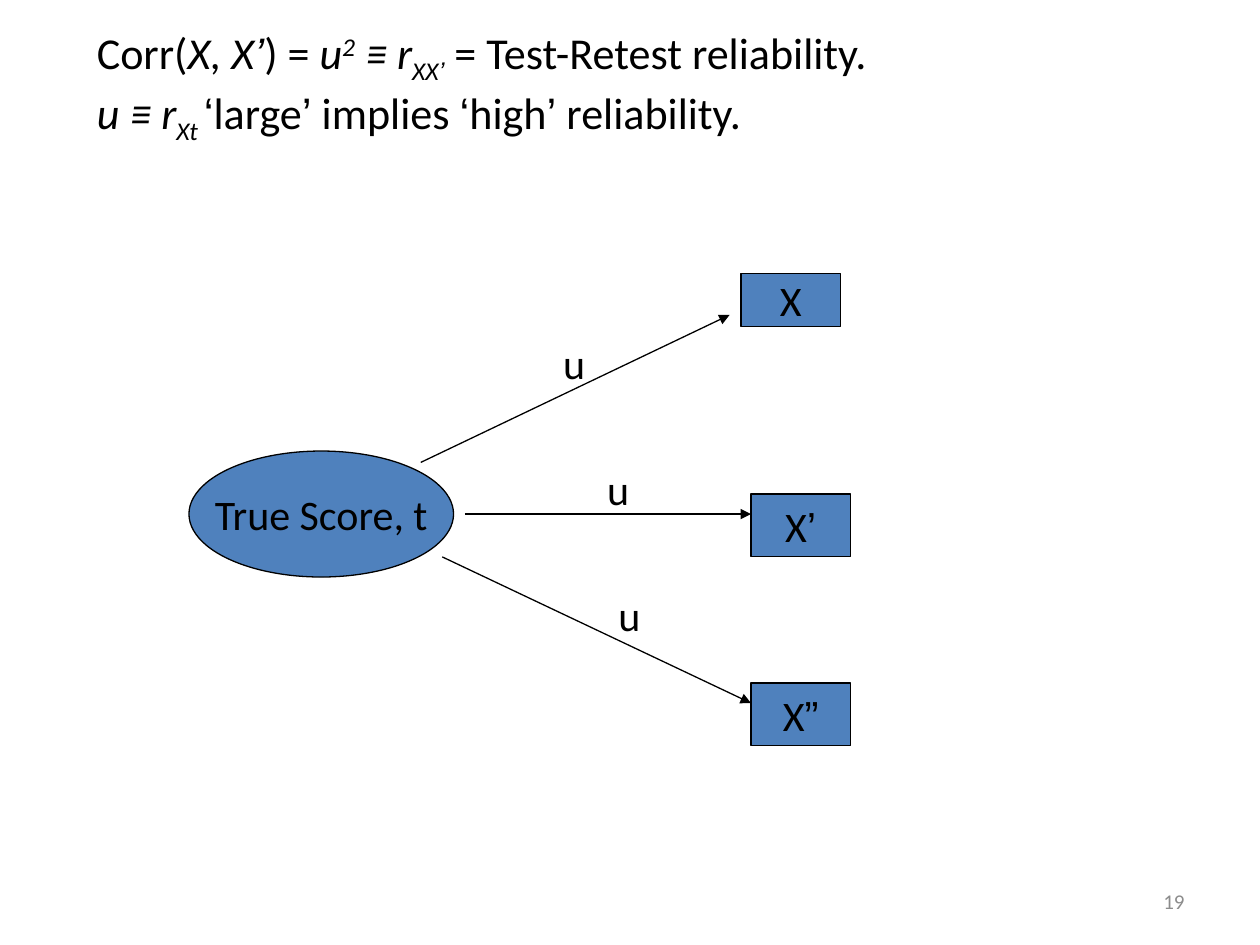
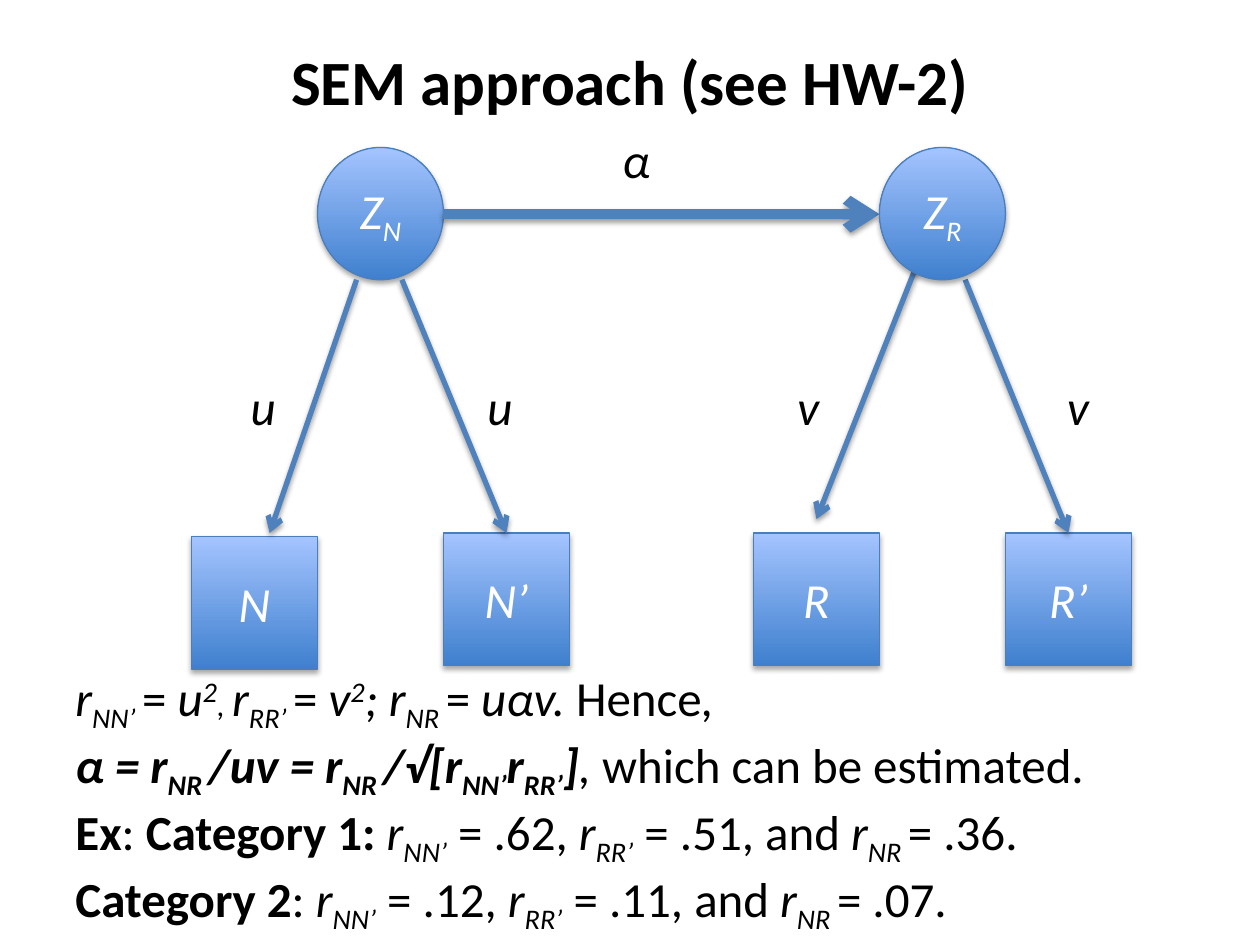
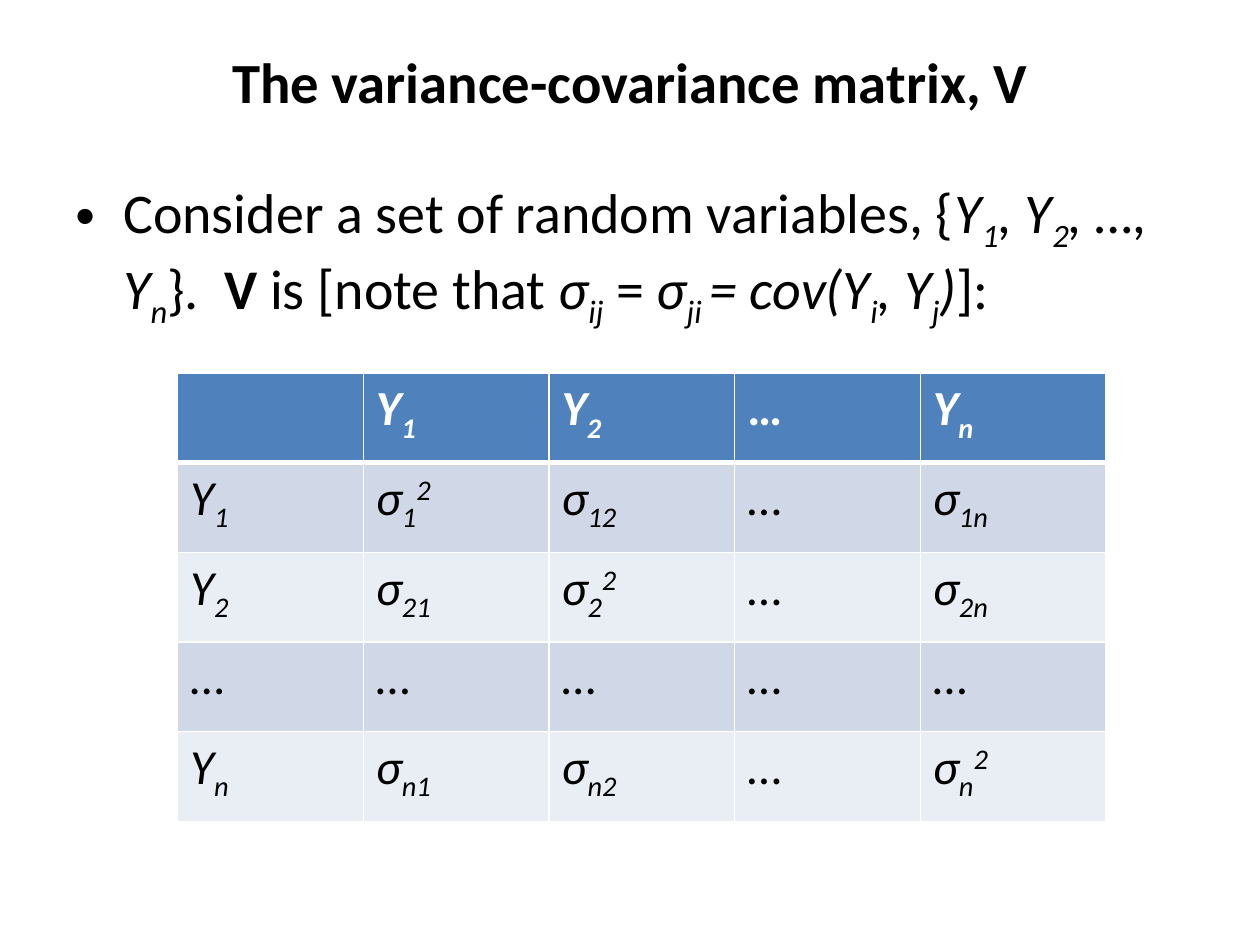
import dataclasses

import pptx
import pptx.dml.color
import pptx.enum.shapes
import pptx.enum.text
import pptx.oxml
import pptx.oxml.ns
import pptx.util
from lxml import etree

Inches, Pt = pptx.util.Inches, pptx.util.Pt
SHAPE = pptx.enum.shapes.MSO_SHAPE
ALIGN = pptx.enum.text.PP_ALIGN
ANCHOR = pptx.enum.text.MSO_ANCHOR
qn = pptx.oxml.ns.qn

# Marks that switch a text style on and off:
# * italic, # bold, ~ subscript, ^ superscript, @ quote font, | small
MARKS = "*#~^@|"


@dataclasses.dataclass(frozen=True)
class Theme:
    font: str = "Calibri"
    quote_font: str = "Arial"
    black: str = "000000"
    white: str = "FFFFFF"
    grey: str = "8C8C8C"
    blue: str = "4F81BD"
    outline: str = "4B7EBC"
    grad_low: str = "3F80CE"
    grad_high: str = "A4C4FF"
    band_dark: str = "D0D8E8"
    band_light: str = "E9EDF4"
    number: float = 12
    small: float = 18
    node: float = 24
    formula: float = 25.2
    text: float = 28
    body: float = 32
    title_small: float = 32.4
    title: float = 36


def rgb(color):
    return pptx.dml.color.RGBColor.from_string(color)


def pieces(markup):
    """Yield (text, active marks) for each stretch of equal style."""
    active, text = frozenset(), ""
    for ch in markup:
        if ch in MARKS:
            if text:
                yield text, active
            active, text = active ^ {ch}, ""
        else:
            text += ch
    if text:
        yield text, active


def add_shadow(effects, dist, alpha):
    shadow = etree.SubElement(effects, qn("a:outerShdw"), blurRad=str(Pt(3.1)),
                              dist=str(Pt(dist)), dir="5400000", rotWithShape="0")
    color = etree.SubElement(shadow, qn("a:srgbClr"), val="000000")
    etree.SubElement(color, qn("a:alpha"), val=str(alpha * 1000))


class Deck:
    def __init__(self, theme):
        self.theme = theme
        self.prs = pptx.Presentation()
        self.prs.slide_width, self.prs.slide_height = Inches(10), Inches(7.5)
        self.s = None

    def slide(self):
        self.s = self.prs.slides.add_slide(self.prs.slide_layouts[6])

    def fill_text(self, tf, lines, size, color, align=ALIGN.LEFT, bold=False):
        for i, line in enumerate(lines):
            p = tf.add_paragraph() if i else tf.paragraphs[0]
            p.alignment = align
            for text, marks in pieces(line):
                r = p.add_run()
                r.text = text
                f = r.font
                f.name = self.theme.quote_font if "@" in marks else self.theme.font
                f.size = Pt(self.theme.small if "|" in marks else size)
                f.color.rgb = rgb(color)
                f.bold = bold or "#" in marks
                f.italic = "*" in marks
                for mark, shift in (("~", "-25000"), ("^", "30000")):
                    if mark in marks:
                        r._r.get_or_add_rPr().set("baseline", shift)

    def text(self, box, lines, size, color=None, align=ALIGN.LEFT,
             anchor=ANCHOR.TOP, bold=False):
        tf = self.s.shapes.add_textbox(*map(Inches, box)).text_frame
        tf.word_wrap = True
        tf.vertical_anchor = anchor
        self.fill_text(tf, lines, size, color or self.theme.black, align, bold)
        return tf

    def title(self, text, size):
        self.text((0.5, 0.3, 9, 0.68), [text], size, align=ALIGN.CENTER,
                  anchor=ANCHOR.MIDDLE, bold=True)

    def bullet(self, box, text):
        tf = self.text(box, [text], self.theme.body)
        pPr = tf.paragraphs[0]._p.get_or_add_pPr()
        pPr.set("marL", str(Inches(0.38)))
        pPr.set("indent", str(-Inches(0.38)))
        etree.SubElement(pPr, qn("a:buFont"), typeface="Arial")
        etree.SubElement(pPr, qn("a:buChar"), char="•")

    def node(self, kind, box, label, glossy=False):
        t = self.theme
        sp = self.s.shapes.add_shape(kind, *map(Inches, box))
        sp.shadow.inherit = False
        sp.line.width = Pt(0.75)
        sp.line.color.rgb = rgb(t.outline if glossy else t.black)
        if glossy:
            sp.fill.gradient()
            sp.fill.gradient_angle = 90
            for stop, color in zip(sp.fill.gradient_stops, (t.grad_low, t.grad_high)):
                stop.color.rgb = rgb(color)
            add_shadow(sp._element.spPr.find(qn("a:effectLst")), 1.8, 35)
        else:
            sp.fill.solid()
            sp.fill.fore_color.rgb = rgb(t.blue)
        tf = sp.text_frame
        tf.word_wrap = glossy
        tf.vertical_anchor = ANCHOR.MIDDLE
        self.fill_text(tf, [label], t.text if glossy else t.node,
                       t.white if glossy else t.black, ALIGN.CENTER)
        return sp

    def arrow(self, start, end, width=0.75, head="triangle", glossy=False, target=None):
        line = self.s.shapes.add_connector(
            pptx.enum.shapes.MSO_CONNECTOR.STRAIGHT, *map(Inches, start + end))
        if target is not None:
            line.end_connect(target, 0)
        line.line.width = Pt(width)
        line.line.color.rgb = rgb(self.theme.blue if glossy else self.theme.black)
        spPr = line._element.spPr
        etree.SubElement(spPr.find(qn("a:ln")), qn("a:tailEnd"), type=head)
        effects = etree.SubElement(spPr, qn("a:effectLst"))
        if glossy:
            add_shadow(effects, 1.6, 38)

    def table(self, box, rows):
        t = self.theme
        tbl = self.s.shapes.add_table(len(rows), len(rows[0]), *map(Inches, box)).table
        tbl.horz_banding = False
        for i, row in enumerate(rows):
            fill = t.blue if i == 0 else (t.band_light, t.band_dark)[i % 2]
            for j, label in enumerate(row):
                cell = tbl.cell(i, j)
                self.fill_text(cell.text_frame, [label], t.text,
                               t.black if i else t.white, bold=i == 0)
                self.borders(cell, top=3 if i == 1 else 1, bottom=1 if i else 3)
                cell.fill.solid()
                cell.fill.fore_color.rgb = rgb(fill)

    def borders(self, cell, top, bottom):
        tcPr = cell._tc.get_or_add_tcPr()
        for side, width in (("L", 1), ("R", 1), ("T", top), ("B", bottom)):
            ln = etree.SubElement(tcPr, qn(f"a:ln{side}"), w=str(Pt(width)))
            fill = etree.SubElement(ln, qn("a:solidFill"))
            etree.SubElement(fill, qn("a:srgbClr"), val=self.theme.white)


def reliability_slide(d):
    t = d.theme
    d.slide()
    d.text((7.17, 6.95, 2.33, 0.4), ["19"], t.number, t.grey, ALIGN.RIGHT, ANCHOR.MIDDLE)
    tf = d.text((0.67, 0.2, 8.5, 1.3), [
        "Corr(*X, X@’@*) = *u^2^ ≡ r~XX@’@~* = Test-Retest reliability.",
        "*u ≡ r~Xt ~*@‘@large@’@ implies @‘@high@’@ reliability.",
    ], t.formula)
    tf.margin_top = 0

    # True score and its three measurements
    d.node(SHAPE.OVAL, (1.5, 3.58, 2.1, 1), "True Score, t")
    for box, label in (((5.88, 2.17, 0.79, 0.42), "X"),
                       ((5.96, 3.92, 0.79, 0.5), "X@’@"),
                       ((5.96, 5.42, 0.79, 0.5), "X@”@")):
        d.node(SHAPE.RECTANGLE, box, label)

    # Paths with their loadings
    for start, end, label_at in (((3.34, 3.67), (5.79, 2.5), (4.37, 2.63)),
                                 ((3.69, 4.08), (5.96, 4.08), (4.72, 3.63)),
                                 ((3.51, 4.42), (5.96, 5.58), (4.81, 4.63))):
        d.arrow(start, end)
        d.text(label_at + (0.39, 0.5), ["u"], t.node)


def sem_slide(d):
    t = d.theme
    size = (1, 1.05)
    d.slide()
    d.title("SEM approach (see HW-2)", t.title)

    # Observed variables and the first latent one
    d.node(SHAPE.OVAL, (2.52, 1.17) + size, "*Z~N~*", glossy=True)
    squares = {}
    for label, x, y in (("N", 1.52, 4.26), ("N’", 3.52, 4.23),
                        ("R", 5.98, 4.23), ("R’", 7.98, 4.23)):
        squares[label] = d.node(SHAPE.RECTANGLE, (x, y) + size, f"*{label}*", glossy=True)

    # Paths; the second latent variable covers the start of its arrows
    d.arrow((3.52, 1.7), (6.98, 1.7), 6, "arrow", glossy=True)
    for start, end, target in (((2.83, 2.22), (2.14, 4.23), None),
                               ((3.19, 2.22), (4.02, 4.23), squares["N’"]),
                               ((7.27, 2.12), (6.48, 4.12), None),
                               ((7.66, 2.22), (8.48, 4.23), squares["R’"])):
        d.arrow(start, end, 3, "arrow", glossy=True, target=target)
    d.node(SHAPE.OVAL, (6.98, 1.17) + size, "*Z~R~*", glossy=True)
    for label, x, y in (("α", 4.84, 0.98), ("u", 1.89, 2.94), ("u", 3.77, 2.94),
                        ("v", 6.23, 2.94), ("v", 8.37, 2.94)):
        d.text((x, y, 0.55, 0.6), [f"*{label}*"], t.text)

    # Derivation and examples
    d.text((0.5, 5.25, 9.22, 1.99), [
        "*r~NN’ ~*= *u^2^|, |r~RR’ ~*= *v^2^; r~NR ~*= *uαv. *Hence*,*",
        "*#α = r~NR ~/uv = r~NR ~/√[r~NN’~r~RR’~]#, *which can be estimated.",
        "#Ex#: #Category 1: #*r~NN’~* = .62, *r~RR’~* = .51, and *r~NR ~*= .36.",
        "#Category 2#: *r~NN’~* = .12, *r~RR’~* = .11, and *r~NR ~*= .07.",
    ], t.text)


def covariance(i, j):
    if "…" in (i, j):
        return "…"
    return f"*σ~{i}~^2^*" if i == j else f"*σ~{i}{j}~*"


def matrix_slide(d):
    d.slide()
    d.title("The variance-covariance matrix, V", d.theme.title_small)
    d.bullet((0.5, 1.36, 9, 5.34),
             "Consider a set of random variables, {*Y~1~, Y~2~, …, Y~n~*}.  #V# is "
             "[note that *σ~ij~* = *σ~ji ~= cov(Y~i~, Y~j~)*]:")

    # Matrix built from its index labels
    index = ["1", "2", "…", "n"]
    names = [i if i == "…" else f"*Y~{i}~*" for i in index]
    rows = [[""] + names]
    rows += [[name] + [covariance(i, j) for j in index] for name, i in zip(names, index)]
    d.table((1.41, 2.96, 7.37, 3.56), rows)


def main():
    d = Deck(Theme())
    reliability_slide(d)
    sem_slide(d)
    matrix_slide(d)
    d.prs.save("out.pptx")


if __name__ == "__main__":
    main()
